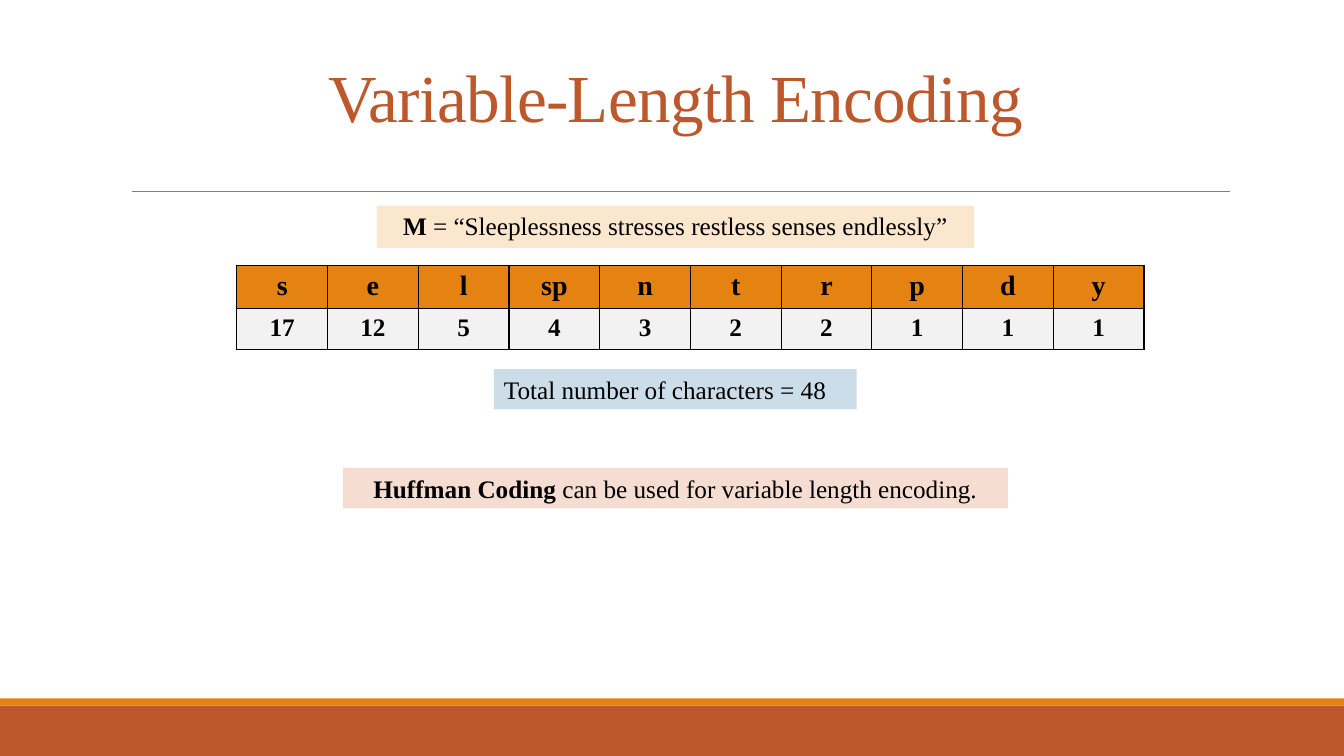
from dataclasses import dataclass
from lxml.etree import SubElement
from pptx import Presentation
from pptx.dml.color import RGBColor
from pptx.enum.shapes import MSO_CONNECTOR, MSO_SHAPE
from pptx.enum.text import MSO_ANCHOR, MSO_AUTO_SIZE, PP_ALIGN
from pptx.oxml.ns import qn
from pptx.util import Cm, Pt


@dataclass(frozen=True)
class Theme:
    """Colours and type sizes of the slide."""
    font: str = "Times New Roman"
    rust: str = "BD582C"
    amber: str = "E48312"
    cream: str = "FBE6CE"
    blue: str = "CCDDEA"
    pink: str = "F5DDD2"
    pale: str = "F2F2F2"
    rule: str = "808080"
    ink: str = "000000"
    title: int = 48
    head: int = 20
    body: int = 18


THEME = Theme()
WIDTH, HEIGHT = 33.87, 19.05
MID = 17.02
COUNTS = {"s": 17, "e": 12, "l": 5, "sp": 4, "n": 3,
          "t": 2, "r": 2, "p": 1, "d": 1, "y": 1}


def paint(fill, tint):
    """Give a fill one solid colour."""
    fill.solid()
    fill.fore_color.rgb = RGBColor.from_string(tint)


def style(run, size, tint=THEME.ink, bold=False):
    """Set the font of a run."""
    run.font.name = THEME.font
    run.font.size = Pt(size)
    run.font.bold = bold
    run.font.color.rgb = RGBColor.from_string(tint)


def band(slide, top, high, tint):
    """Draw a bar across the full slide width."""
    bar = slide.shapes.add_shape(MSO_SHAPE.RECTANGLE, 0, Cm(top), Cm(WIDTH), Cm(high))
    bar.shadow.inherit = False
    paint(bar.fill, tint)
    bar.line.fill.background()


def frame(slide):
    """Draw the foot bars and the rule under the title."""
    band(slide, HEIGHT - 1.27, 1.27, THEME.rust)
    band(slide, HEIGHT - 1.45, 0.18, THEME.amber)
    rule = slide.shapes.add_connector(
        MSO_CONNECTOR.STRAIGHT, Cm(3.33), Cm(4.83), Cm(31), Cm(4.83))
    rule.line.width = Pt(0.5)
    rule.line.color.rgb = RGBColor.from_string(THEME.rule)
    SubElement(rule._element.spPr, qn("a:effectLst"))


def title(slide, text, top, wide, high):
    """Place and format the title, centred on the content axis."""
    head = slide.shapes.title
    head.left, head.top = Cm(MID - wide / 2), Cm(top)
    head.width, head.height = Cm(wide), Cm(high)
    body = head.text_frame
    body.text = text
    body.auto_size = MSO_AUTO_SIZE.NONE
    body.vertical_anchor = MSO_ANCHOR.BOTTOM
    para = body.paragraphs[0]
    para.alignment = PP_ALIGN.CENTER
    para.line_spacing = 0.85
    run = para.runs[0]
    style(run, THEME.title, THEME.rust)
    run.font._element.set("spc", "-50")


def note(slide, top, wide, high, tint, parts, align=PP_ALIGN.CENTER):
    """Place a tinted text box from (text, bold) parts on the content axis."""
    box = slide.shapes.add_textbox(Cm(MID - wide / 2), Cm(top), Cm(wide), Cm(high))
    paint(box.fill, tint)
    box.text_frame.word_wrap = True
    para = box.text_frame.paragraphs[0]
    para.alignment = align
    for text, bold in parts:
        run = para.add_run()
        run.text = text
        style(run, THEME.body, bold=bold)


def edge(cell):
    """Draw a thin line on all four sides of a cell."""
    props = cell._tc.get_or_add_tcPr()
    for side in ("lnL", "lnR", "lnT", "lnB"):
        line = SubElement(props, qn(f"a:{side}"), w=str(Pt(1)))
        fill = SubElement(line, qn("a:solidFill"))
        SubElement(fill, qn("a:srgbClr"), val=THEME.ink)


def table(slide, left, top, wide, counts):
    """Place the table of letters over their counts."""
    rows = ((counts.keys(), 1.1, THEME.head, THEME.amber),
            (counts.values(), 1.02, THEME.body, THEME.pale))
    high = sum(row[1] for row in rows)
    grid = slide.shapes.add_table(
        len(rows), len(counts), Cm(left), Cm(top), Cm(wide), Cm(high)).table
    grid.horz_banding = False
    for col in grid.columns:
        col.width = Cm(wide / len(counts))
    for y, (items, tall, size, tint) in enumerate(rows):
        grid.rows[y].height = Cm(tall)
        for x, item in enumerate(items):
            cell = grid.cell(y, x)
            edge(cell)
            paint(cell.fill, tint)
            para = cell.text_frame.paragraphs[0]
            para.text = str(item)
            para.alignment = PP_ALIGN.CENTER
            style(para.runs[0], size, bold=True)


def main():
    """Build and save the slide."""
    deck = Presentation()
    deck.slide_width, deck.slide_height = Cm(WIDTH), Cm(HEIGHT)
    slide = deck.slides.add_slide(deck.slide_layouts[5])
    frame(slide)
    title(slide, "Variable-Length Encoding", 1.27, 27.94, 2.29)
    note(slide, 5.18, 15.06, 1.07, THEME.cream,
         [("M", True), (" = “Sleeplessness stresses restless senses endlessly”", False)])
    table(slide, 5.97, 6.68, 22.86, COUNTS)
    note(slide, 9.3, 9.14, 1.02, THEME.blue,
         [("Total number of characters = 48", False)], PP_ALIGN.LEFT)
    note(slide, 11.79, 16.76, 1.02, THEME.pink,
         [("Huffman Coding ", True), ("can be used for variable length encoding.", False)])
    deck.save("out.pptx")


if __name__ == "__main__":
    main()
